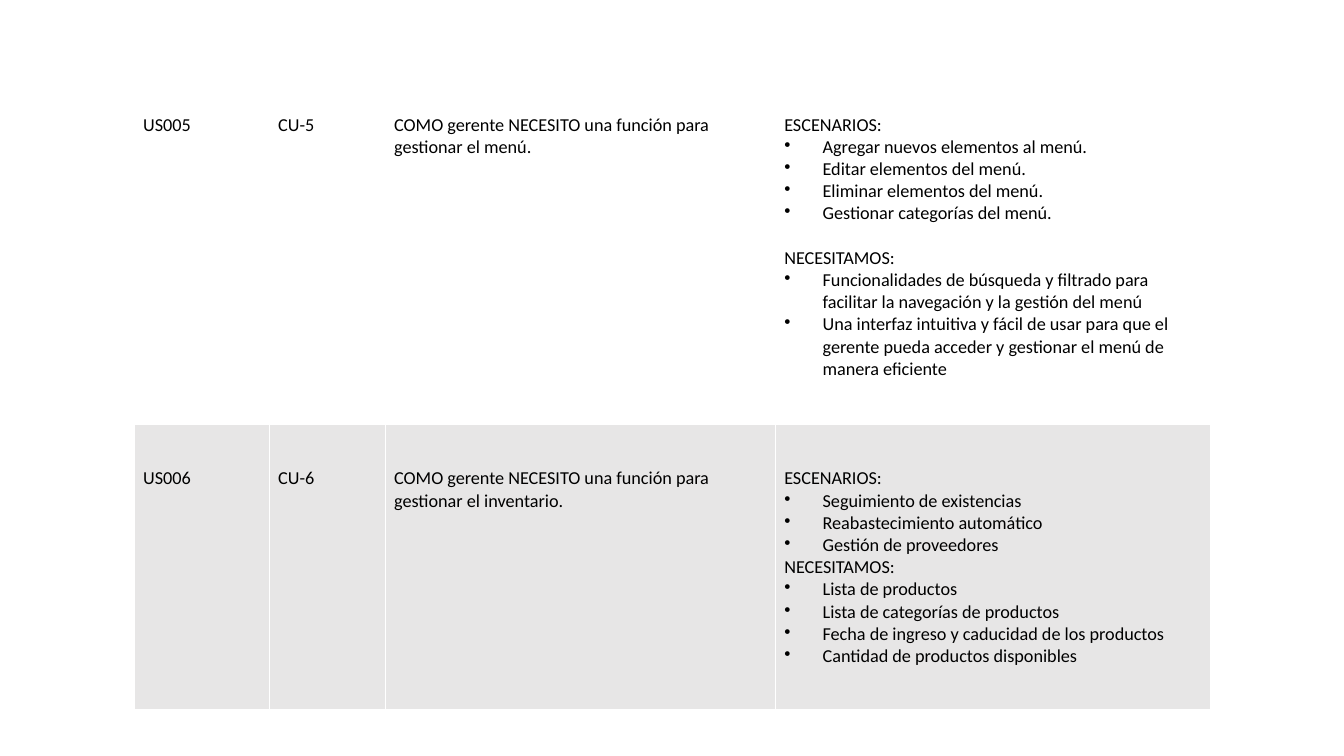
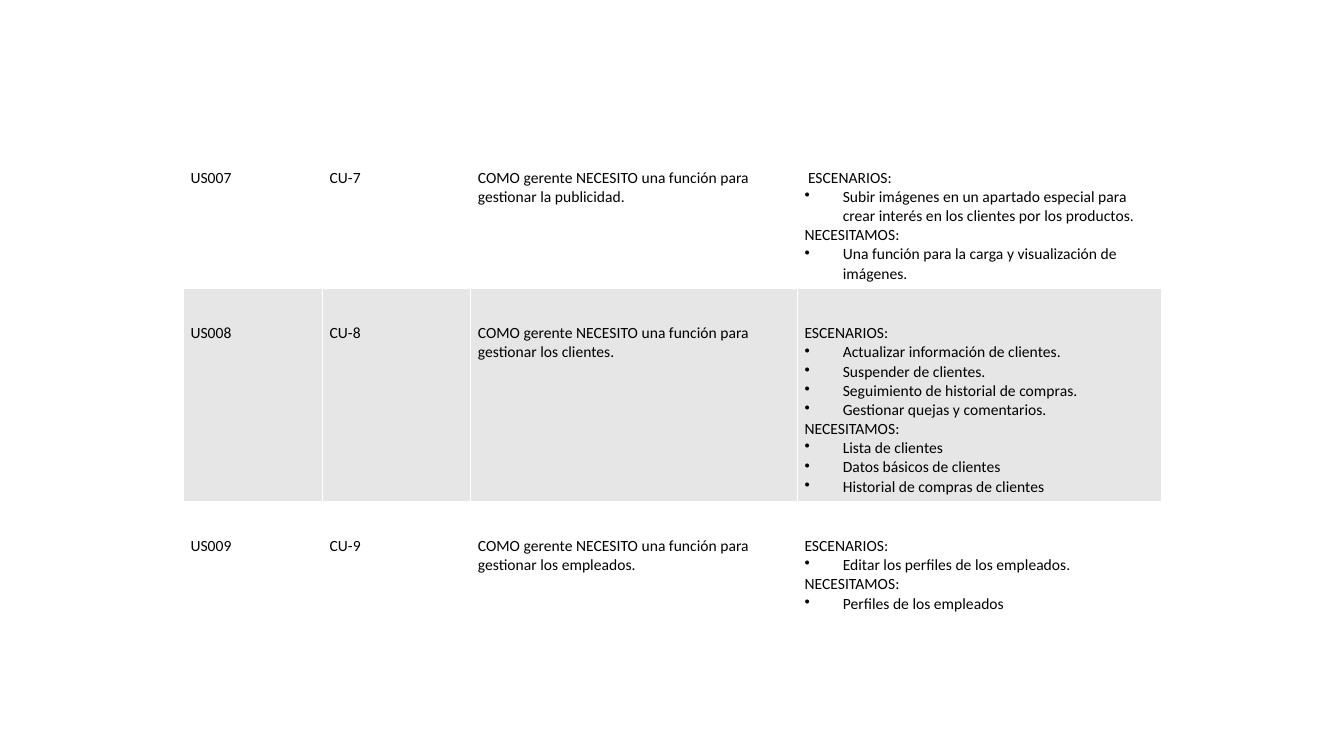
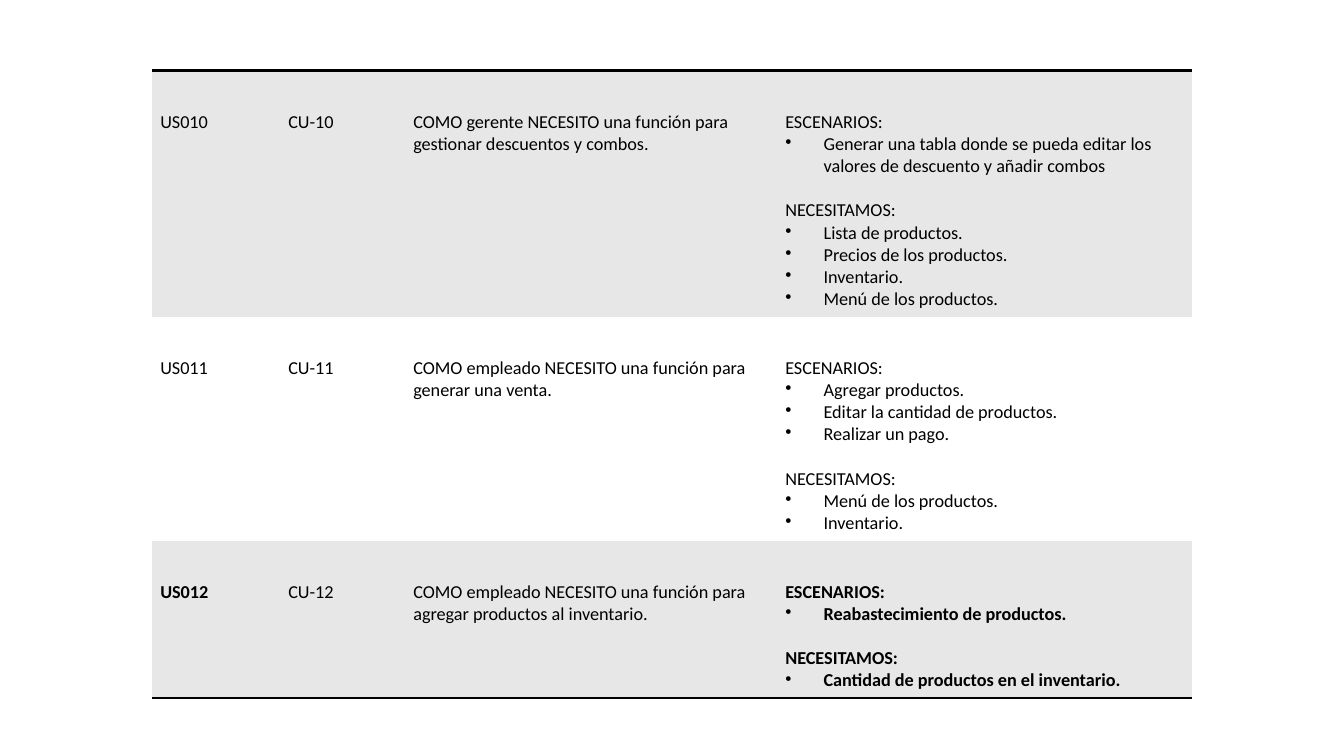
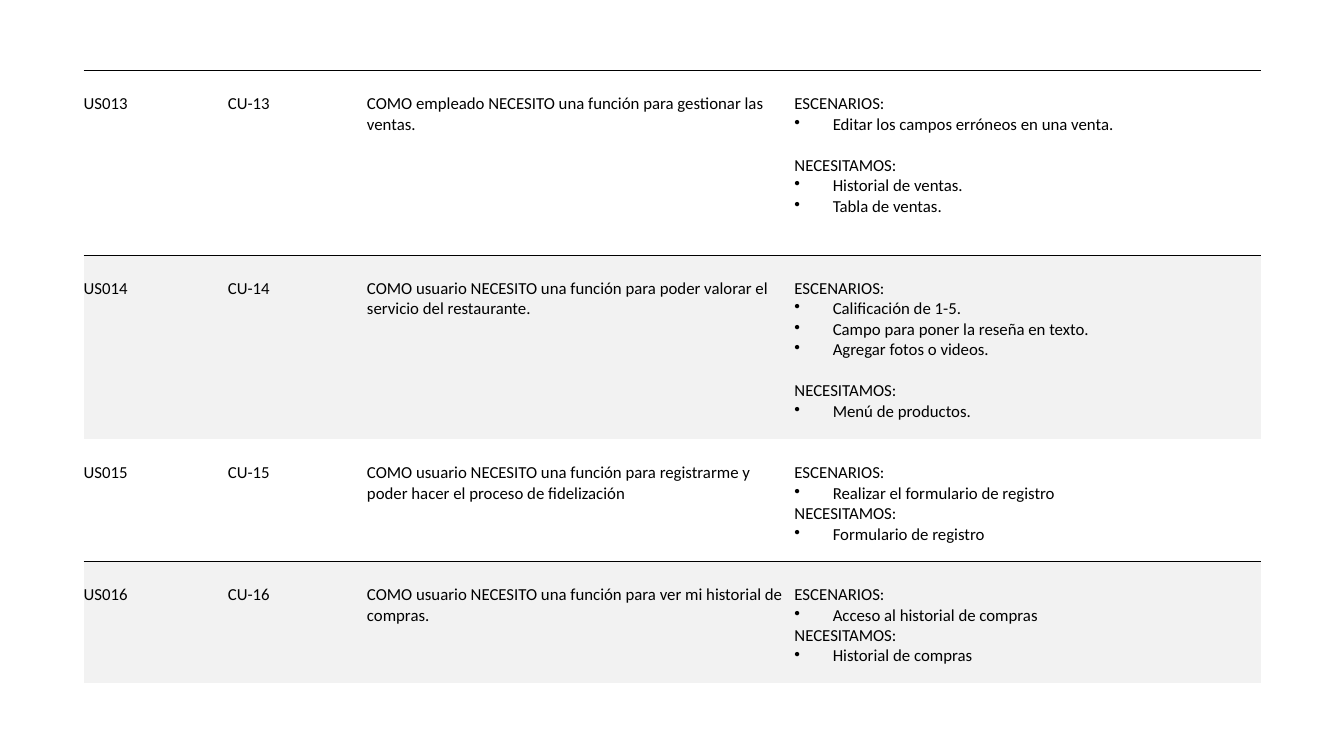
from dataclasses import dataclass

from lxml.etree import SubElement
from pptx import Presentation
from pptx.dml.color import RGBColor as RGB
from pptx.oxml.ns import qn
from pptx.util import Inches, Pt


@dataclass(frozen=True)
class Theme:
    """Colours, fonts and measures shared by every slide."""
    font: str = "Calibri"
    ink: str = "000000"
    white: str = "FFFFFF"
    grey: str = "E7E6E6"
    light: str = "F2F2F2"
    medium: str = "E7E7E7"
    line: float = 0.75
    heavy: float = 2
    small: float = 11.1
    body: float = 12
    large: float = 13
    leading: float = 1.22
    indent: float = 0.38
    plain_table: str = "{2D5ABB26-0587-4C30-8999-92F81FD0307C}"


@dataclass(frozen=True)
class Story:
    """One user story, with its scenarios and needs."""
    number: int
    want: str
    scenarios: list
    needs: list
    gap: bool = False
    bold: bool = False
    heading: str = "ESCENARIOS:"


@dataclass(frozen=True)
class Look:
    """Geometry and style of one story table; margins run left, top, right, bottom."""
    at: tuple
    cols: tuple
    rows: tuple
    margins: tuple
    size: float
    fills: tuple
    borders: tuple


T = Theme()
GRID = {edge: (T.white, T.line) for edge in "LRTB"}
TOP, BOTTOM = {"T": (T.ink, T.heavy)}, {"B": (T.ink, T.heavy)}
THIN = {"B": (T.ink, T.line)}
THIN_BOTH = {"T": (T.ink, T.line), **THIN}


def draw_borders(cell, borders):
    """Draw the given edges of a cell."""
    tc_pr = cell._tc.get_or_add_tcPr()
    for edge, (color, width) in borders.items():
        ln = SubElement(tc_pr, qn(f"a:ln{edge}"), w=str(Pt(width)))
        fill = SubElement(ln, qn("a:solidFill"))
        SubElement(fill, qn("a:srgbClr"), val=color)


def add_bullet(p):
    """Give a paragraph a hanging bullet."""
    p_pr = p._p.get_or_add_pPr()
    p_pr.set("marL", str(Inches(T.indent)))
    p_pr.set("indent", str(-Inches(T.indent)))
    SubElement(p_pr, qn("a:buChar"), char="•")


def write_cell(cell, lines, size, bold=False):
    """Write (text, bulleted, gap before) lines into a cell."""
    tf = cell.text_frame
    for i, (text, bulleted, gap) in enumerate(lines):
        p = tf.add_paragraph() if i else tf.paragraphs[0]
        p.text = text
        if bulleted:
            add_bullet(p)
        if gap:
            p.space_before = Pt(size * T.leading)
        p.font.name, p.font.size, p.font.bold = T.font, Pt(size), bold
        p.font.color.rgb = RGB.from_string(T.ink)


def criteria_lines(story):
    """Return the lines of the scenarios and needs of a story."""
    return [(story.heading, False, False),
            *((item, True, False) for item in story.scenarios),
            ("NECESITAMOS:", False, story.gap),
            *((item, True, False) for item in story.needs)]


def format_cell(cell, look, row):
    """Apply margins, borders and fill to a cell."""
    left, top, right, bottom = map(Inches, look.margins)
    cell.margin_left, cell.margin_top = left, top
    cell.margin_right, cell.margin_bottom = right, bottom
    draw_borders(cell, look.borders[row])
    cell.fill.solid()
    cell.fill.fore_color.rgb = RGB.from_string(look.fills[row])


def add_story_table(s, look, stories):
    """Place a table with one story per row."""
    box = map(Inches, (*look.at, sum(look.cols), sum(look.rows)))
    table = s.shapes.add_table(len(look.rows), len(look.cols), *box).table
    table.first_row = table.horz_banding = False
    table._tbl.tblPr.find(qn("a:tableStyleId")).text = T.plain_table
    for column, width in zip(table.columns, look.cols):
        column.width = Inches(width)
    for i, (row, height, story) in enumerate(zip(table.rows, look.rows, stories)):
        row.height = Inches(height)
        texts = (f"US{story.number:03}", f"CU-{story.number}", f"COMO {story.want}")
        contents = [[(text, False, False)] for text in texts] + [criteria_lines(story)]
        for j, (cell, lines) in enumerate(zip(row.cells, contents)):
            format_cell(cell, look, i)
            write_cell(cell, lines, look.size, story.bold and j in (0, 3))


SLIDES = [
    (Look((1.33, 0.7), (1.34, 1.15, 3.87, 4.32), (3.51, 2.83),
          (0.09, 0.43, 0.09, 0.06), T.large, (T.white, T.grey), (GRID,) * 2), [
        Story(5, "gerente NECESITO una función para gestionar el menú.",
              ["Agregar nuevos elementos al menú.", "Editar elementos del menú.",
               "Eliminar elementos del menú.", "Gestionar categorías del menú."],
              ["Funcionalidades de búsqueda y filtrado para facilitar la navegación "
               "y la gestión del menú",
               "Una interfaz intuitiva y fácil de usar para que el gerente pueda "
               "acceder y gestionar el menú de manera eficiente"], gap=True),
        Story(6, "gerente NECESITO una función para gestionar el inventario.",
              ["Seguimiento de existencias", "Reabastecimiento automático",
               "Gestión de proveedores"],
              ["Lista de productos", "Lista de categorías de productos",
               "Fecha de ingreso y caducidad de los productos",
               "Cantidad de productos disponibles"]),
    ]),
    (Look((1.82, 1.32), (1.38, 1.47, 3.24, 3.61), (1.54, 2.1, 1.34),
          (0.07, 0.35, 0.07, 0.05), T.small, (T.white, T.grey, T.white), (GRID,) * 3), [
        Story(7, "gerente NECESITO una función para gestionar la publicidad.",
              ["Subir imágenes en un apartado especial para crear interés en los "
               "clientes por los productos."],
              ["Una función para la carga y visualización de imágenes."],
              heading=" ESCENARIOS:"),
        Story(8, "gerente NECESITO una función para gestionar los clientes.",
              ["Actualizar información de clientes.", "Suspender de clientes.",
               "Seguimiento de historial de compras.",
               "Gestionar quejas y comentarios."],
              ["Lista de clientes", "Datos básicos de clientes",
               "Historial de compras de clientes"]),
        Story(9, "gerente NECESITO una función para gestionar los empleados.",
              ["Editar los perfiles de los empleados."], ["Perfiles de los empleados"]),
    ]),
    (Look((1.51, 0.7), (1.27, 1.24, 3.69, 4.11), (2.43, 2.22, 1.54),
          (0.08, 0.4, 0.08, 0.06), T.large, (T.medium, T.white, T.medium),
          (TOP, {}, BOTTOM)), [
        Story(10, "gerente NECESITO una función para gestionar descuentos y combos.",
              ["Generar una tabla donde se pueda editar los valores de descuento "
               "y añadir combos"],
              ["Lista de productos.", "Precios de los productos.", "Inventario.",
               "Menú de los productos."], gap=True),
        Story(11, "empleado NECESITO una función para generar una venta.",
              ["Agregar productos.", "Editar la cantidad de productos.",
               "Realizar un pago."],
              ["Menú de los productos.", "Inventario."], gap=True),
        Story(12, "empleado NECESITO una función para agregar productos al inventario.",
              ["Reabastecimiento de productos."],
              ["Cantidad de productos en el inventario."], gap=True, bold=True),
    ]),
    (Look((0.83, 0.7), (1.43, 1.38, 4.24, 4.63), (1.83, 1.83, 1.21, 1.21),
          (0, 0.23, 0.08, 0.1), T.body, (T.white, T.light) * 2,
          (THIN_BOTH, {}, THIN, {})), [
        Story(13, "empleado NECESITO una función para gestionar las ventas.",
              ["Editar los campos erróneos en una venta."],
              ["Historial de ventas.", "Tabla de ventas."], gap=True),
        Story(14, "usuario NECESITO una función para poder valorar el servicio "
                  "del restaurante.",
              ["Calificación de 1-5.", "Campo para poner la reseña en texto.",
               "Agregar fotos o videos."],
              ["Menú de productos."], gap=True),
        Story(15, "usuario NECESITO una función para registrarme y poder hacer "
                  "el proceso de fidelización",
              ["Realizar el formulario de registro"], ["Formulario de registro"]),
        Story(16, "usuario NECESITO una función para ver mi historial de compras.",
              ["Acceso al historial de compras"], ["Historial de compras"]),
    ]),
]


def main():
    """Build and save the presentation."""
    prs = Presentation()
    prs.slide_width, prs.slide_height = Inches(13.33), Inches(7.5)
    for look, stories in SLIDES:
        s = prs.slides.add_slide(prs.slide_layouts[6])
        add_story_table(s, look, stories)
    prs.save("out.pptx")


if __name__ == "__main__":
    main()
